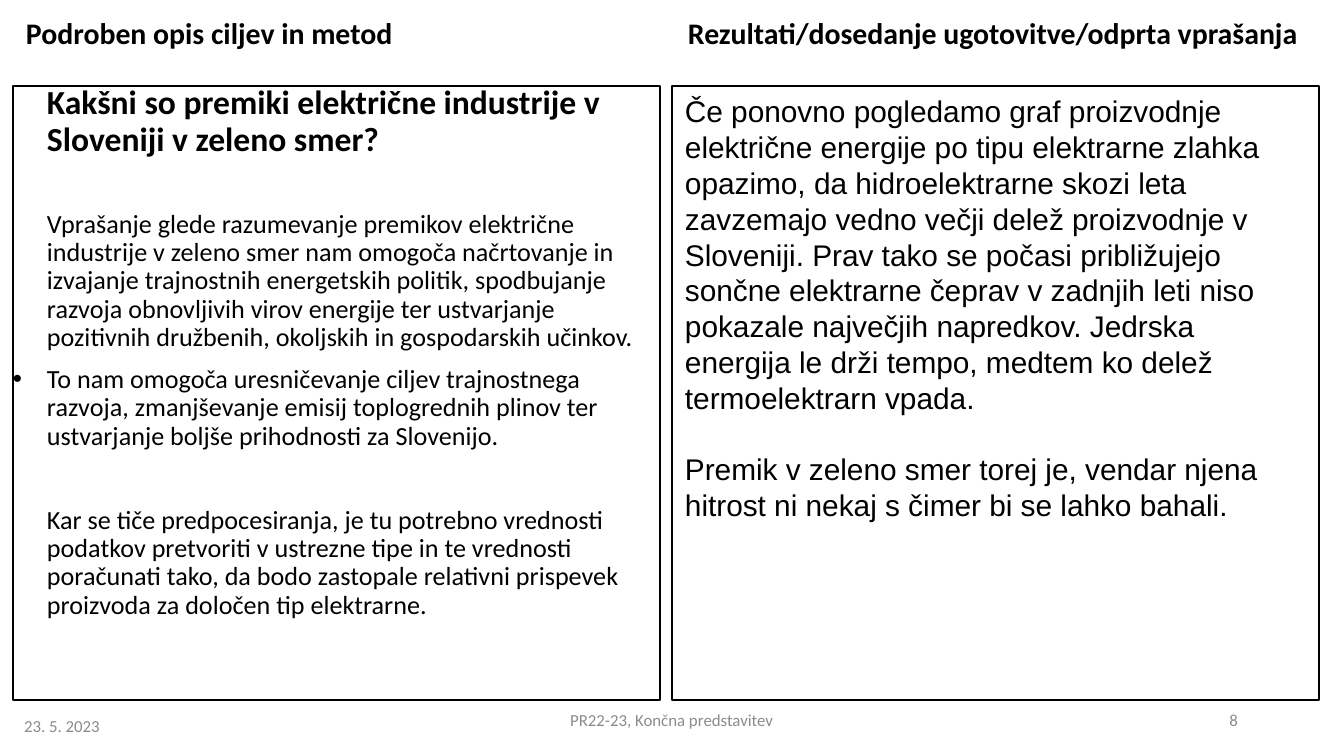
from dataclasses import dataclass

from lxml.etree import SubElement
from pptx import Presentation
from pptx.dml.color import RGBColor
from pptx.enum.shapes import MSO_SHAPE as ShapeKind
from pptx.enum.text import MSO_ANCHOR as Anchor, PP_ALIGN as Align
from pptx.oxml.ns import qn
from pptx.slide import Slide
from pptx.text.text import TextFrame
from pptx.util import Emu, Pt

"""Builds the slide on goals, methods and findings about green electricity."""

EMU_PER_PX = 914400 / 134.4


def px(length: int) -> Emu:
    return Emu(round(length * EMU_PER_PX))


@dataclass(frozen=True)
class Theme:
    ink: RGBColor = RGBColor(0, 0, 0)
    muted: RGBColor = RGBColor(0x8B, 0x8B, 0x8B)
    body_font: str = "Calibri"
    result_font: str = "Arial"
    question_size: int = 18
    heading_size: int = 16
    body_size: int = 14
    footer_size: int = 9
    tight: float = 0.9
    gap: float = 7.5


THEME = Theme()


@dataclass(frozen=True)
class Style:
    size: int
    font: str = THEME.body_font
    color: RGBColor = THEME.ink
    bold: bool = False
    line_spacing: float = 1.0


@dataclass(frozen=True)
class Box:
    left: int
    top: int
    width: int
    height: int


@dataclass(frozen=True)
class Entry:
    text: str
    style: Style
    before: float = 0
    indent: int = 0
    bullet: bool = False
    align: Align = Align.LEFT


@dataclass(frozen=True)
class Block:
    box: Box
    entries: tuple[Entry, ...]
    framed: bool = False
    anchor: Anchor = Anchor.TOP
    margins: tuple[int, int] = (13, 7)


QUESTION = Style(THEME.question_size, bold=True, line_spacing=THEME.tight)
HEADING = Style(THEME.heading_size, bold=True, line_spacing=THEME.tight)
BODY = Style(THEME.body_size, line_spacing=THEME.tight)
RESULT = Style(THEME.heading_size, font=THEME.result_font)
FOOTER = Style(THEME.footer_size, color=THEME.muted)

INDENT = 34
PANEL_TOP, PANEL_WIDTH, PANEL_HEIGHT = 86, 647, 614

BLOCKS = (
    Block(
        Box(13, PANEL_TOP, PANEL_WIDTH, PANEL_HEIGHT),
        (
            Entry("Kakšni so premiki električne industrije v Sloveniji v zeleno smer?",
                  QUESTION, THEME.gap, INDENT),
            Entry("Vprašanje glede razumevanje premikov električne industrije v zeleno smer "
                  "nam omogoča načrtovanje in izvajanje trajnostnih energetskih politik, "
                  "spodbujanje razvoja obnovljivih virov energije ter ustvarjanje pozitivnih "
                  "družbenih, okoljskih in gospodarskih učinkov.", BODY, 28, INDENT),
            Entry("To nam omogoča uresničevanje ciljev trajnostnega razvoja, zmanjševanje "
                  "emisij toplogrednih plinov ter ustvarjanje boljše prihodnosti za Slovenijo.",
                  BODY, THEME.gap, INDENT, bullet=True),
            Entry("Kar se tiče predpocesiranja, je tu potrebno vrednosti podatkov pretvoriti v "
                  "ustrezne tipe in te vrednosti poračunati tako, da bodo zastopale relativni "
                  "prispevek proizvoda za določen tip elektrarne.", BODY, 30, INDENT),
        ),
        framed=True,
        margins=(0, 0),
    ),
    Block(Box(13, 12, 647, 55),
          (Entry("Podroben opis ciljev in metod", HEADING, THEME.gap),)),
    Block(Box(675, 12, 656, 55),
          (Entry("Rezultati/dosedanje ugotovitve/odprta vprašanja", HEADING, THEME.gap),)),
    Block(Box(11, 706, 551, 40), (Entry("23. 5. 2023", FOOTER),), anchor=Anchor.MIDDLE),
    Block(Box(445, 700, 453, 40),
          (Entry("PR22-23, Končna predstavitev", FOOTER, align=Align.CENTER),),
          anchor=Anchor.MIDDLE),
    Block(
        Box(672, PANEL_TOP, PANEL_WIDTH, PANEL_HEIGHT),
        (
            Entry("Če ponovno pogledamo graf proizvodnje električne energije po tipu elektrarne "
                  "zlahka opazimo, da hidroelektrarne skozi leta zavzemajo vedno večji delež "
                  "proizvodnje v Sloveniji. Prav tako se počasi približujejo sončne elektrarne "
                  "čeprav v zadnjih leti niso pokazale največjih napredkov. Jedrska energija le "
                  "drži tempo, medtem ko delež termoelektrarn vpada.", RESULT),
            Entry("Premik v zeleno smer torej je, vendar njena hitrost ni nekaj s čimer bi se "
                  "lahko bahali.", RESULT, 19),
        ),
        framed=True,
    ),
    Block(Box(949, 700, 302, 40), (Entry("8", FOOTER, align=Align.RIGHT),),
          anchor=Anchor.MIDDLE),
)


def add_entry(frame: TextFrame, entry: Entry, first: bool) -> None:
    paragraph = frame.paragraphs[0] if first else frame.add_paragraph()
    paragraph.alignment = entry.align
    paragraph.line_spacing = entry.style.line_spacing
    paragraph.space_before = Pt(entry.before)
    properties = paragraph._p.get_or_add_pPr()
    properties.set("marL", str(px(entry.indent)))
    properties.set("indent", str(px(-entry.indent if entry.bullet else 0)))
    if entry.bullet:
        SubElement(properties, qn("a:buFont"), typeface=THEME.result_font)
        SubElement(properties, qn("a:buChar"), char="•")
    run = paragraph.add_run()
    run.text = entry.text
    run.font.name = entry.style.font
    run.font.size = Pt(entry.style.size)
    run.font.bold = entry.style.bold
    run.font.color.rgb = entry.style.color


def add_block(slide: Slide, block: Block) -> None:
    box = block.box
    place = (px(box.left), px(box.top), px(box.width), px(box.height))
    if block.framed:
        shape = slide.shapes.add_shape(ShapeKind.RECTANGLE, *place)
        shape.shadow.inherit = False
        shape.fill.background()
        shape.line.color.rgb = THEME.ink
        shape.line.width = Pt(0)
    else:
        shape = slide.shapes.add_textbox(*place)
    frame = shape.text_frame
    frame.word_wrap = True
    frame.vertical_anchor = block.anchor
    side, end = block.margins
    frame.margin_left = frame.margin_right = px(side)
    frame.margin_top = frame.margin_bottom = px(end)
    for index, entry in enumerate(block.entries):
        add_entry(frame, entry, first=index == 0)


def main() -> None:
    presentation = Presentation()
    presentation.slide_width, presentation.slide_height = px(1344), px(756)
    slide = presentation.slides.add_slide(presentation.slide_layouts[6])
    for block in BLOCKS:
        add_block(slide, block)
    presentation.save("out.pptx")


if __name__ == "__main__":
    main()
